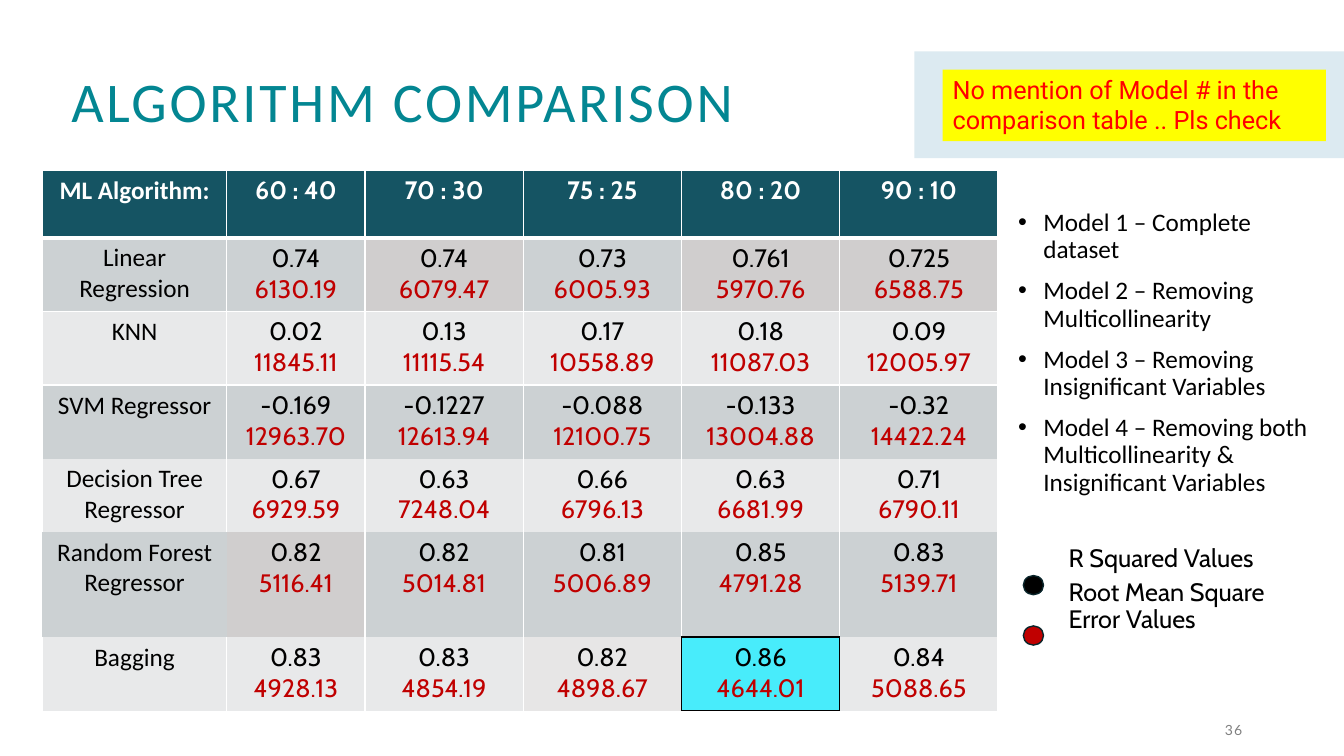
from lxml import etree
from pptx import Presentation
from pptx.dml.color import RGBColor
from pptx.enum.shapes import MSO_SHAPE
from pptx.enum.text import MSO_ANCHOR, PP_ALIGN
from pptx.oxml.ns import qn
from pptx.util import Inches, Pt

RECTANGLE, OVAL = MSO_SHAPE.RECTANGLE, MSO_SHAPE.OVAL
TOP, MIDDLE = MSO_ANCHOR.TOP, MSO_ANCHOR.MIDDLE
LEFT, CENTER, RIGHT = PP_ALIGN.LEFT, PP_ALIGN.CENTER, PP_ALIGN.RIGHT

WHITE = RGBColor(0xFF, 0xFF, 0xFF)
BLACK = RGBColor(0x00, 0x00, 0x00)
GREY = RGBColor(0x80, 0x80, 0x80)
TEAL = RGBColor(0x03, 0x86, 0x92)
DARK_TEAL = RGBColor(0x15, 0x54, 0x63)
DOT_EDGE = RGBColor(0x09, 0x25, 0x2B)
PALE_BLUE = RGBColor(0xDC, 0xEA, 0xF1)
DARK_RED = RGBColor(0xC0, 0x00, 0x00)
RED = RGBColor(0xFF, 0x00, 0x00)
YELLOW = RGBColor(0xFF, 0xFF, 0x00)
CYAN = RGBColor(0x48, 0xEC, 0xFB)
BAND_DARK = RGBColor(0xCC, 0xD1, 0xD3)
BAND_LIGHT = RGBColor(0xE8, 0xE9, 0xEA)
WARM_DARK = RGBColor(0xD0, 0xCE, 0xCE)
WARM_LIGHT = RGBColor(0xE7, 0xE6, 0xE6)

HEADER = ["ML Algorithm:", "60 : 40", "70 : 30", "75 : 25", "80 : 20", "90 : 10"]
RESULTS = [
    ("Linear Regression", "0.74 6130.19", "0.74 6079.47", "0.73 6005.93",
     "0.761 5970.76", "0.725 6588.75"),
    ("KNN", "0.02 11845.11", "0.13 11115.54", "0.17 10558.89",
     "0.18 11087.03", "0.09 12005.97"),
    ("SVM Regressor", "-0.169 12963.70", "-0.1227 12613.94", "-0.088 12100.75",
     "-0.133 13004.88", "-0.32 14422.24"),
    ("Decision Tree Regressor", "0.67 6929.59", "0.63 7248.04", "0.66 6796.13",
     "0.63 6681.99", "0.71 6790.11"),
    ("Random Forest Regressor", "0.82 5116.41", "0.82 5014.81", "0.81 5006.89",
     "0.85 4791.28", "0.83 5139.71"),
    ("Bagging", "0.83 4928.13", "0.83 4854.19", "0.82 4898.67",
     "0.86 4644.01", "0.84 5088.65"),
]
COLUMN_WIDTHS = [1.83, 1.37, 1.57, 1.57, 1.57, 1.57]
ROW_HEIGHTS = [0.67, 0.73, 0.73, 0.73, 0.73, 1.04, 0.73]
BEST = (6, 4)
SPECIAL_FILLS = {(1, 2): WARM_DARK, (1, 4): WARM_DARK, (1, 5): WARM_DARK,
                 (5, 1): WARM_DARK, (6, 3): WARM_LIGHT, BEST: CYAN}
BEST_EDGES = {BEST: "LRTB", (5, 4): "B", (6, 3): "R", (6, 5): "L"}
MODELS = ["Model 1 – Complete dataset", "Model 2 – Removing Multicollinearity",
          "Model 3 – Removing Insignificant Variables",
          "Model 4 – Removing both Multicollinearity & Insignificant Variables"]
LEGEND = ["R Squared Values", "Root Mean Square Error Values"]


def write(paragraph, text, font, size, color, bold=False, spacing=0, **layout):
    """Fill a paragraph with one formatted run."""
    for name, value in layout.items():
        setattr(paragraph, name, value)
    run = paragraph.add_run()
    run.text = text
    for name, value in {"name": font, "size": Pt(size), "bold": bold}.items():
        setattr(run.font, name, value)
    run.font.color.rgb = color
    if spacing:
        run._r.get_or_add_rPr().set("spc", str(spacing * 100))


def next_paragraph(frame, index):
    """Return the first paragraph of a frame, or a new one."""
    return frame.add_paragraph() if index else frame.paragraphs[0]


def add_textbox(slide, box, anchor=TOP):
    """Add a wrapping text box and return its frame."""
    frame = slide.shapes.add_textbox(*map(Inches, box)).text_frame
    frame.word_wrap = True
    frame.vertical_anchor = anchor
    return frame


def add_solid(slide, kind, box, fill, edge=None):
    """Add a flat filled shape."""
    solid = slide.shapes.add_shape(kind, *map(Inches, box))
    solid.shadow.inherit = False
    solid.fill.solid()
    solid.fill.fore_color.rgb = fill
    if edge is None:
        solid.line.fill.background()
    else:
        solid.line.color.rgb = edge
        solid.line.width = Pt(1)
    return solid


def add_title(slide, box):
    """Place the slide heading."""
    frame = add_textbox(slide, box, MIDDLE)
    write(frame.paragraphs[0], "ALGORITHM COMPARISON", "Calibri", 40, TEAL,
          spacing=2, line_spacing=0.8)


def add_page_number(slide, box):
    """Place the page number."""
    frame = add_textbox(slide, box, MIDDLE)
    write(frame.paragraphs[0], "36", "Lato", 10, GREY, spacing=1, alignment=RIGHT)


def add_review_note(slide, box):
    """Place the yellow reviewer note."""
    note = add_solid(slide, RECTANGLE, box, YELLOW)
    note.text_frame.word_wrap = True
    note.text_frame.vertical_anchor = TOP
    write(note.text_frame.paragraphs[0],
          "No mention of Model # in the comparison table .. Pls check",
          "Roboto", 18, RED, alignment=LEFT)


def set_indent(paragraph, left, hanging=0, bullet=None):
    """Indent a paragraph and give it an optional bullet."""
    properties = paragraph._p.get_or_add_pPr()
    properties.set("marL", str(Inches(left)))
    properties.set("indent", str(-Inches(hanging)))
    if bullet:
        etree.SubElement(properties, qn("a:buFont")).set("typeface", "Arial")
        etree.SubElement(properties, qn("a:buChar")).set("char", bullet)


def add_model_list(slide, box):
    """Place the model descriptions and the legend with its dots."""
    left, top = box[:2]
    frame = add_textbox(slide, box)
    for index, model in enumerate(MODELS):
        paragraph = next_paragraph(frame, index)
        set_indent(paragraph, 0.25, 0.25, "•")
        write(paragraph, model, "Calibri", 18, BLACK, line_spacing=0.9,
              space_before=Pt(10 if index else 0))
    for label, gap in zip(LEGEND, (35, 5)):
        paragraph = frame.add_paragraph()
        set_indent(paragraph, 0.5)
        write(paragraph, label, "Cabin", 18, BLACK, line_spacing=0.9,
              space_before=Pt(gap))
    for index, color in enumerate((BLACK, DARK_RED)):
        add_solid(slide, OVAL, (left + 0.15, top + 3.68 + index * 0.5, 0.2, 0.19),
                  color, DOT_EDGE)


def cell_edges(row, column):
    """Return the color and width of each visible edge of a cell."""
    visible = "LRTB" if row < 3 else "LRT" if row == 3 else "LR"
    if row == 5 and column < 2:
        visible = ""
    edges = {side: (WHITE, 1) for side in visible}
    if row == 0:
        edges["B"] = (WHITE, 3)
    if row == 1:
        edges["T"] = (WHITE, 3)
    for side in BEST_EDGES.get((row, column), ""):
        edges[side] = (BLACK, 1)
    return edges


def style_cell(cell, row, column):
    """Draw the edges and the fill of a cell."""
    properties = cell._tc.get_or_add_tcPr()
    edges = cell_edges(row, column)
    for side in "LRTB":
        color, width = edges.get(side, (None, 0))
        line = etree.SubElement(properties, qn(f"a:ln{side}"), w=str(Pt(width)))
        if color is None:
            etree.SubElement(line, qn("a:noFill"))
        else:
            fill = etree.SubElement(line, qn("a:solidFill"))
            etree.SubElement(fill, qn("a:srgbClr"), val=str(color))
    band = DARK_TEAL if row == 0 else BAND_DARK if row % 2 else BAND_LIGHT
    cell.fill.solid()
    cell.fill.fore_color.rgb = SPECIAL_FILLS.get((row, column), band)


def add_results_table(slide, box):
    """Place the table of scores by algorithm and data split."""
    rows = [HEADER, *RESULTS]
    table = slide.shapes.add_table(len(rows), len(HEADER), *map(Inches, box)).table
    table.horz_banding = False
    for column, width in zip(table.columns, COLUMN_WIDTHS):
        column.width = Inches(width)
    for row, height in zip(table.rows, ROW_HEIGHTS):
        row.height = Inches(height)
    for row, texts in enumerate(rows):
        for column, text in enumerate(texts):
            cell = table.cell(row, column)
            style_cell(cell, row, column)
            scores = text.split() if row and column else [text]
            for index, score in enumerate(scores):
                color = WHITE if row == 0 else DARK_RED if index else BLACK
                write(next_paragraph(cell.text_frame, index), score,
                      "Cabin" if column else "Calibri", 18, color,
                      bold=row == 0, alignment=CENTER)


def main():
    """Build and save the slide."""
    presentation = Presentation()
    presentation.slide_width = Inches(13.33)
    presentation.slide_height = Inches(7.5)
    slide = presentation.slides.add_slide(presentation.slide_layouts[6])
    add_solid(slide, RECTANGLE, (9.07, 0.51, 4.26, 1.06), PALE_BLUE)
    add_page_number(slide, (9.42, 7.13, 3, 0.22))
    add_title(slide, (0.61, 0.69, 8.4, 0.73))
    add_model_list(slide, (10, 2.03, 3.15, 4.9))
    add_results_table(slide, (0.42, 1.69, 9.5, 5.37))
    add_review_note(slide, (9.35, 0.69, 3.8, 0.71))
    presentation.save("out.pptx")


if __name__ == "__main__":
    main()
